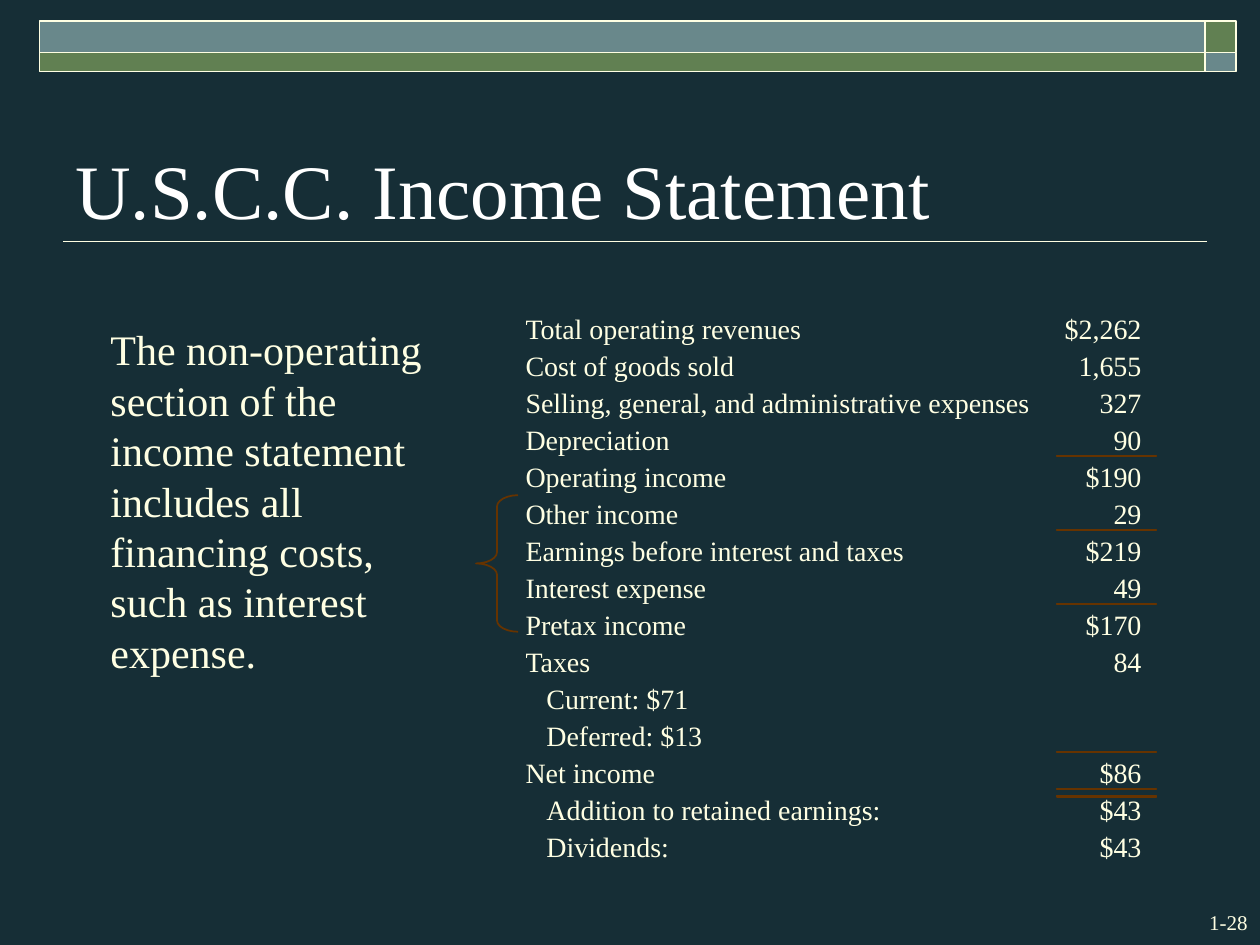
from dataclasses import dataclass

from lxml import etree
from pptx import Presentation
from pptx.dml.color import RGBColor
from pptx.enum import shapes, text
from pptx.oxml import ns
from pptx.util import Pt


@dataclass(frozen=True)
class Theme:
    font: str = "Times New Roman"
    background: str = "162E36"
    cream: str = "FFFFE3"
    white: str = "FFFFFF"
    teal: str = "69888B"
    green: str = "618052"
    brown: str = "663300"
    black: str = "000000"
    title_size: float = 44
    body_size: float = 24
    statement_size: float = 16
    number_size: float = 12


THEME = Theme()

# label, amount, indented, rules below the amount
STATEMENT = [
    ("Total operating revenues", "$2,262", False, 0),
    ("Cost of goods sold", "1,655", False, 0),
    ("Selling, general, and administrative expenses", "327", False, 0),
    ("Depreciation", "90", False, 1),
    ("Operating income", "$190", False, 0),
    ("Other income", "29", False, 1),
    ("Earnings before interest and taxes", "$219", False, 0),
    ("Interest expense", "49", False, 1),
    ("Pretax income", "$170", False, 0),
    ("Taxes", "84", False, 0),
    ("Current: $71", "", True, 0),
    ("Deferred: $13", "", True, 1),
    ("Net income", "$86", False, 2),
    ("Addition to retained earnings:", "$43", True, 0),
    ("Dividends:", "$43", True, 0),
]


def color(value):
    return RGBColor.from_string(value)


def add_text(slide, words, left, top, width, height, size, ink=THEME.cream,
             align=text.PP_ALIGN.LEFT, anchor=text.MSO_ANCHOR.TOP,
             inset=(7.2, 3.6), line_spacing=None):
    box = slide.shapes.add_textbox(Pt(left), Pt(top), Pt(width), Pt(height))
    frame = box.text_frame
    frame.word_wrap = True
    frame.vertical_anchor = anchor
    frame.margin_left = frame.margin_right = Pt(inset[0])
    frame.margin_top = frame.margin_bottom = Pt(inset[1])
    paragraph = frame.paragraphs[0]
    paragraph.alignment = align
    if line_spacing:
        paragraph.line_spacing = Pt(line_spacing)
    run = paragraph.add_run()
    run.text = words
    run.font.name = THEME.font
    run.font.size = Pt(size)
    run.font.color.rgb = color(ink)


def add_shape(slide, kind, left, top, width, height, line, line_width, fill=None):
    shape = slide.shapes.add_shape(kind, Pt(left), Pt(top), Pt(width), Pt(height))
    shape.shadow.inherit = False
    if fill:
        shape.fill.solid()
        shape.fill.fore_color.rgb = color(fill)
    else:
        shape.fill.background()
    shape.line.color.rgb = color(line)
    shape.line.width = Pt(line_width)
    return shape


def add_line(slide, left, right, y):
    line = slide.shapes.add_connector(
        shapes.MSO_CONNECTOR.STRAIGHT, Pt(left), Pt(y), Pt(right), Pt(y))
    line.line.color.rgb = color(THEME.cream)
    line.line.width = Pt(1)
    etree.SubElement(line._element.spPr, ns.qn("a:effectLst"))


def add_banner(slide):
    """Two stacked bands, with their colours swapped in the end squares."""
    columns = [(22.5, 666, (THEME.teal, THEME.green)),
               (688.5, 18, (THEME.green, THEME.teal))]
    bands = [(12, 18), (30, 11)]
    for left, width, fills in columns:
        for (top, height), fill in zip(bands, fills):
            add_shape(slide, shapes.MSO_SHAPE.RECTANGLE, left, top, width,
                      height, THEME.cream, 1, fill)


def add_statement(slide):
    top, pitch, row_height = 178, 21.14, 19.4
    label_left, label_width, indent = 300.3, 300, 12
    amount_left, amount_width = 608.3, 44
    for index, (label, amount, indented, rules) in enumerate(STATEMENT):
        y = top + index * pitch
        shift = indent if indented else 0
        add_text(slide, label, label_left + shift, y, label_width - shift,
                 row_height, THEME.statement_size, inset=(0, 0))
        if amount:
            add_text(slide, amount, amount_left, y, amount_width, row_height,
                     THEME.statement_size, align=text.PP_ALIGN.RIGHT, inset=(0, 0))
        for rule in range(rules):
            add_shape(slide, shapes.MSO_SHAPE.RECTANGLE, 604, y + 18.9 + rule * 4.2,
                      57, 0.75, THEME.brown, 0.75, THEME.black)


def add_brace(slide):
    brace = add_shape(slide, shapes.MSO_SHAPE.LEFT_BRACE, 272, 283, 24, 78,
                      THEME.brown, 1)
    brace.adjustments[0] = 0.27


def main():
    presentation = Presentation()
    presentation.slide_width, presentation.slide_height = Pt(720), Pt(540)
    slide = presentation.slides.add_slide(presentation.slide_layouts[6])
    slide.background.fill.solid()
    slide.background.fill.fore_color.rgb = color(THEME.background)

    add_banner(slide)
    add_line(slide, 36, 690, 138)
    add_text(slide, "U.S.C.C. Income Statement", 36, 48, 648, 90,
             THEME.title_size, ink=THEME.white, anchor=text.MSO_ANCHOR.BOTTOM)
    add_text(slide, "The non-operating section of the income statement includes "
             "all financing costs, such as interest expense.",
             56, 181.5, 198, 209, THEME.body_size, line_spacing=28.8)
    add_statement(slide)
    add_brace(slide)
    add_text(slide, "1-28", 660, 516, 60, 22, THEME.number_size,
             align=text.PP_ALIGN.RIGHT)
    presentation.save("out.pptx")


if __name__ == "__main__":
    main()
